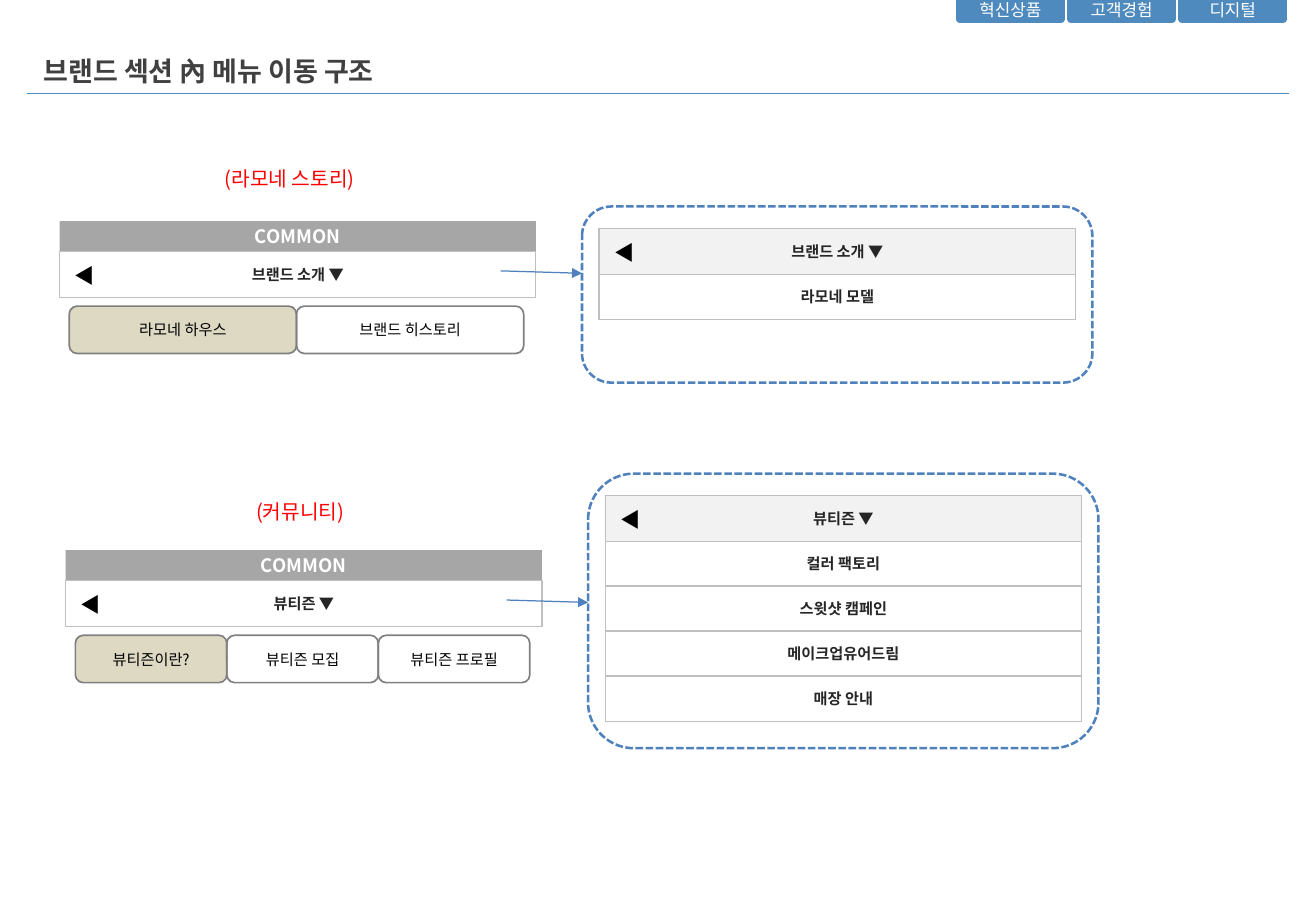
from pptx import Presentation
from pptx.dml.color import RGBColor
from pptx.enum.dml import MSO_LINE
from pptx.enum.shapes import MSO_CONNECTOR, MSO_SHAPE
from pptx.enum.text import MSO_ANCHOR, MSO_AUTO_SIZE, PP_ALIGN
from pptx.oxml.ns import qn
from pptx.util import Inches, Pt
from lxml.etree import SubElement

FONT = "Noto Sans CJK KR"
COLORS = {
    "tab": "4F8ABE", "title": "404040", "white": "FFFFFF", "black": "000000",
    "common": "A6A6A6", "border": "BFBFBF", "menu": "262626",
    "heading": "F2F2F2", "active": "DDD9C3", "button": "808080",
    "flow": "4F81BD", "label": "FF0000",
}
ROW_HEIGHT, ROW_STEP = 0.38, 0.37

SECTIONS = [
    {"left": 0.49, "top": 1.82, "label": ("(라모네 스토리)", 1.75, 1.32, 1.28),
     "heading": "브랜드 소개 ▼", "buttons": ["라모네 하우스", "브랜드 히스토리"],
     "panel_top": 1.88, "frame_height": 1.45, "items": ["라모네 모델"]},
    {"left": 0.54, "top": 4.53, "label": ("(커뮤니티)", 2.01, 4.06, 0.93),
     "heading": "뷰티즌 ▼", "buttons": ["뷰티즌이란?", "뷰티즌 모집", "뷰티즌 프로필"],
     "panel_top": 4.08, "frame_height": 2.26,
     "items": ["컬러 팩토리", "스윗샷 캠페인", "메이크업유어드림", "매장 안내"]},
]


class MenuSlide:
    def __init__(self, prs):
        self.slide = prs.slides.add_slide(prs.slide_layouts[5])
        self.shapes = self.slide.shapes

    def set_text(self, frame, text, size, color, bold=False, align=PP_ALIGN.CENTER):
        frame.text = text
        paragraph = frame.paragraphs[0]
        paragraph.alignment = align
        for run in paragraph.runs:
            run.font.size, run.font.bold = Pt(size), bold
            run.font.color.rgb = RGBColor.from_string(COLORS[color])
            run.font.name = FONT
            SubElement(run.font._element, qn("a:ea")).set("typeface", FONT)

    def title(self, text):
        title = self.shapes.title
        title.left, title.top = Inches(0.26), Inches(0.4)
        title.width, title.height = Inches(10.36), Inches(0.37)
        frame = title.text_frame
        frame.auto_size = MSO_AUTO_SIZE.NONE
        frame.vertical_anchor = MSO_ANCHOR.MIDDLE
        self.set_text(frame, text, 16, "title", True, PP_ALIGN.LEFT)

    def box(self, box, text="", fill=None, line=None, line_width=0.75,
            size=9, color="menu", bold=True, rounded=False):
        kind = MSO_SHAPE.ROUNDED_RECTANGLE if rounded else MSO_SHAPE.RECTANGLE
        shape = self.shapes.add_shape(kind, *map(Inches, box))
        shape.shadow.inherit = False
        if fill:
            shape.fill.solid()
            shape.fill.fore_color.rgb = RGBColor.from_string(COLORS[fill])
        else:
            shape.fill.background()
        if line:
            shape.line.color.rgb = RGBColor.from_string(COLORS[line])
            shape.line.width = Pt(line_width)
        else:
            shape.line.fill.background()
        shape.text_frame.vertical_anchor = MSO_ANCHOR.MIDDLE
        if text:
            self.set_text(shape.text_frame, text, size, color, bold)
        return shape

    def text(self, box, text, color, align=PP_ALIGN.CENTER):
        frame = self.shapes.add_textbox(*map(Inches, box)).text_frame
        frame.word_wrap = True
        frame.auto_size = MSO_AUTO_SIZE.SHAPE_TO_FIT_TEXT
        self.set_text(frame, text, 12, color, align=align)

    def line(self, ends, color, width, arrow=False):
        line = self.shapes.add_connector(MSO_CONNECTOR.STRAIGHT, *map(Inches, ends))
        line.line.color.rgb = RGBColor.from_string(COLORS[color])
        line.line.width = Pt(width)
        if arrow:
            outline = line._element.spPr.find(qn("a:ln"))
            SubElement(outline, qn("a:tailEnd")).set("type", "triangle")
        SubElement(line._element.spPr, qn("a:effectLst"))

    def tab(self, left, text):
        tab = self.box((left, 0, 0.83, 0.16), text, "tab", "tab", 4.5,
                       10, "white", False)
        frame = tab.text_frame
        frame.word_wrap = False
        frame.margin_left = frame.margin_right = 0
        frame.margin_top = frame.margin_bottom = 0

    def menu_row(self, left, top, text, fill=None):
        self.box((left, top, 3.92, ROW_HEIGHT), text, fill, "border")

    def heading_row(self, left, top, text, fill=None):
        self.menu_row(left, top, text, fill)
        self.text((left + 0.02, top + 0.05, 0.38, 0.3), "◀", "black")

    def section(self, left, top, label, heading, buttons, panel_top, frame_height, items):
        # Current menu with its buttons
        self.box((left, top, 3.92, 0.25), "COMMON", "common", size=11, color="white")
        self.heading_row(left, top + 0.25, heading)
        width = 3.74 / len(buttons)
        for i, name in enumerate(buttons):
            self.box((left + 0.08 + i * width, top + 0.7, width, 0.39), name,
                     None if i else "active", "button", 1,
                     color="black", bold=False, rounded=True)
        # Expanded menu
        panel_left = left + 4.44
        for i, name in enumerate(items, 1):
            self.menu_row(panel_left, panel_top + i * ROW_STEP, name)
        self.heading_row(panel_left, panel_top, heading, "heading")
        frame = self.box((left + 4.3, panel_top - 0.18, 4.2, frame_height),
                         line="flow", line_width=1.5, rounded=True)
        frame.line.dash_style = MSO_LINE.SQUARE_DOT
        self.line((left + 3.63, top + 0.41, left + 4.3, top + 0.43), "flow", 0.75, True)
        # Section label
        text, label_left, label_top, label_width = label
        self.text((label_left, label_top, label_width, 0.3), text, "label", PP_ALIGN.LEFT)


def main():
    prs = Presentation()
    prs.slide_width, prs.slide_height = Inches(10.83), Inches(7.5)
    page = MenuSlide(prs)
    # Top tabs and title
    for i, name in enumerate(["혁신상품", "고객경험", "디지털"]):
        page.tab(7.9 + i * 1.83 / 2, name)
    page.line((0.22, 0.77, 10.61, 0.77), "tab", 1)
    page.title("브랜드 섹션 內 메뉴 이동 구조")
    # Menu flows
    for section in SECTIONS:
        page.section(**section)
    prs.save("out.pptx")


if __name__ == "__main__":
    main()
